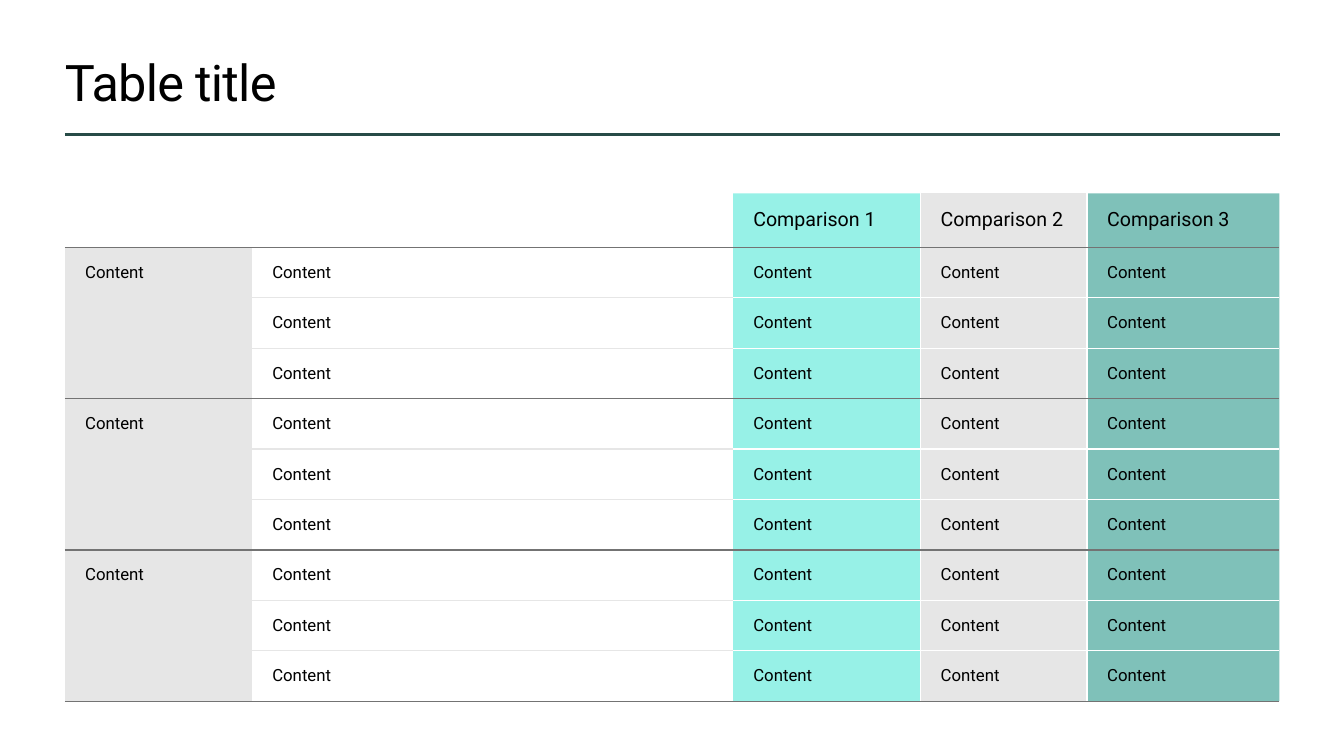
from lxml.etree import SubElement
from pptx import Presentation
from pptx.dml.color import RGBColor
from pptx.enum.shapes import MSO_CONNECTOR
from pptx.enum.text import MSO_ANCHOR as ANCHOR
from pptx.oxml.ns import qn
from pptx.util import Pt

BLACK = RGBColor(0x00, 0x00, 0x00)
WHITE = RGBColor(0xFF, 0xFF, 0xFF)
DARK_GREEN = RGBColor(0x27, 0x4B, 0x47)
GREY = RGBColor(0x73, 0x73, 0x73)
LIGHT_GREY = RGBColor(0xE6, 0xE6, 0xE6)
AQUA = RGBColor(0x30, 0xE5, 0xD0)
TEAL = RGBColor(0x00, 0x85, 0x75)

LEFT, WIDTH = 46.4, 867.6
NO_STYLE = "{2D5ABB26-0587-4C30-8999-92F81FD0307C}"


def add_text(paragraph, text, size):
    run = paragraph.add_run()
    run.text = text
    run.font.size = Pt(size)
    run.font.name = "Roboto"
    run.font.color.rgb = BLACK
    return run


def set_borders(cell, borders):
    """Add the given sides, in the order L, R, T, B, ahead of the cell's fill."""
    properties = cell._tc.get_or_add_tcPr()
    sides = [(side, color) for side, color in borders.items() if color is not None]
    for position, (side, color) in enumerate(sides):
        line = SubElement(properties, qn(f"a:ln{side}"), w=str(Pt(1)))
        solid = SubElement(line, qn("a:solidFill"))
        SubElement(solid, qn("a:srgbClr"), val=str(color))
        properties.insert(position, line)


prs = Presentation()
prs.slide_width, prs.slide_height = Pt(960), Pt(540)
slide = prs.slides.add_slide(prs.slide_layouts[6])

# Title rule
title_rule = slide.shapes.add_connector(
    MSO_CONNECTOR.STRAIGHT, Pt(LEFT), Pt(96), Pt(LEFT + WIDTH), Pt(96))
title_rule.line.color.rgb = DARK_GREEN
title_rule.line.width = Pt(2)
SubElement(title_rule._element.spPr, qn("a:effectLst"))

# Title
title = slide.shapes.add_textbox(Pt(LEFT), Pt(36), Pt(WIDTH), Pt(44)).text_frame
title.word_wrap = True
title.vertical_anchor = ANCHOR.MIDDLE
title.margin_left = title.margin_right = title.margin_top = title.margin_bottom = 0
title_run = add_text(title.paragraphs[0], "Table title", 36)
title_run.font._element.set("spc", "-50")

# Comparison table: a header and three groups of three rows
GROUP_SIZE, GROUPS = 3, 3
column_widths = [133.7, 343.6, 133.9, 118.9, 137.5]
row_heights = [38.2] + [35.7] * GROUP_SIZE * GROUPS
headers = ["", "", "Comparison 1", "Comparison 2", "Comparison 3"]
column_fills = [LIGHT_GREY, None, AQUA, LIGHT_GREY, TEAL]
row_lines = [None, LIGHT_GREY, WHITE, WHITE, WHITE]

frame = slide.shapes.add_table(
    len(row_heights), len(column_widths),
    Pt(LEFT), Pt(138.2), Pt(WIDTH), Pt(sum(row_heights)))
table = frame.table
table.first_row = table.horz_banding = False
table._tbl.tblPr.find(qn("a:tableStyleId")).text = NO_STYLE
for column, width in zip(table.columns, column_widths):
    column.width = Pt(width)
for row, height in zip(table.rows, row_heights):
    row.height = Pt(height)

# Group cells in the first column
for first in range(1, len(row_heights), GROUP_SIZE):
    table.cell(first, 0).merge(table.cell(first + GROUP_SIZE - 1, 0))

# Cell text, fills and borders
for r in range(len(row_heights)):
    for c, fill in enumerate(column_fills):
        cell = table.cell(r, c)
        cell.margin_left = cell.margin_right = Pt(14.4)
        cell.margin_top = cell.margin_bottom = Pt(10.8)
        cell.vertical_anchor = ANCHOR.TOP if r == 0 or c == 0 else ANCHOR.MIDDLE
        text = headers[c] if r == 0 else "Content"
        if text and not cell.is_spanned:
            add_text(cell.text_frame.paragraphs[0], text, 14 if r == 0 else 12)
        elif not text:
            cell.text_frame.paragraphs[0].font.size = Pt(12)

        if fill is None or (r == 0 and c == 0):
            cell.fill.background()
        else:
            cell.fill.solid()
            cell.fill.fore_color.rgb = fill
            if fill in (AQUA, TEAL):
                color = cell._tc.tcPr.find(f".//{qn('a:srgbClr')}")
                SubElement(color, qn("a:alpha"), val="50000")

        above = GREY if (r - 1) % GROUP_SIZE == 0 else row_lines[c]
        below = GREY if r % GROUP_SIZE == 0 or cell.is_merge_origin else row_lines[c]
        set_borders(cell, {
            "L": WHITE if c > 2 else None,
            "R": WHITE if c in (2, 3) else None,
            "T": above if r > 0 else None,
            "B": below,
        })

prs.save("out.pptx")
